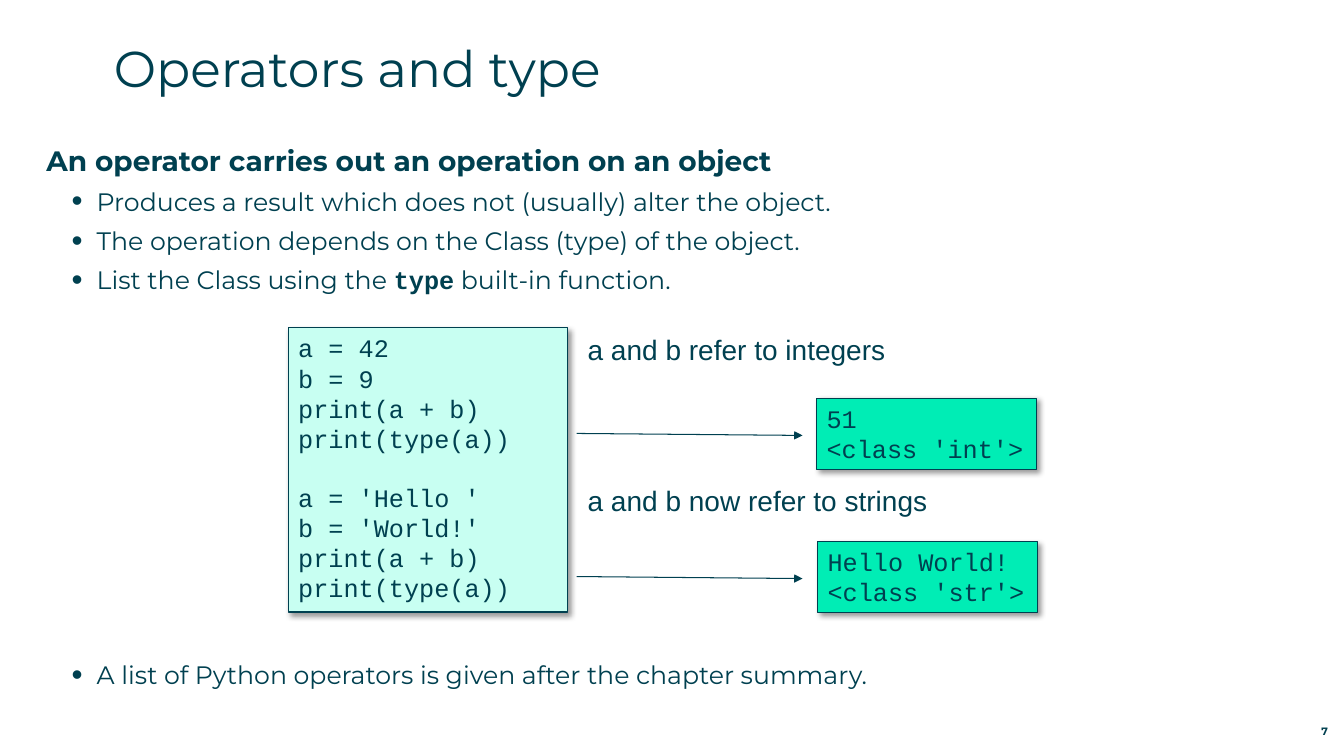
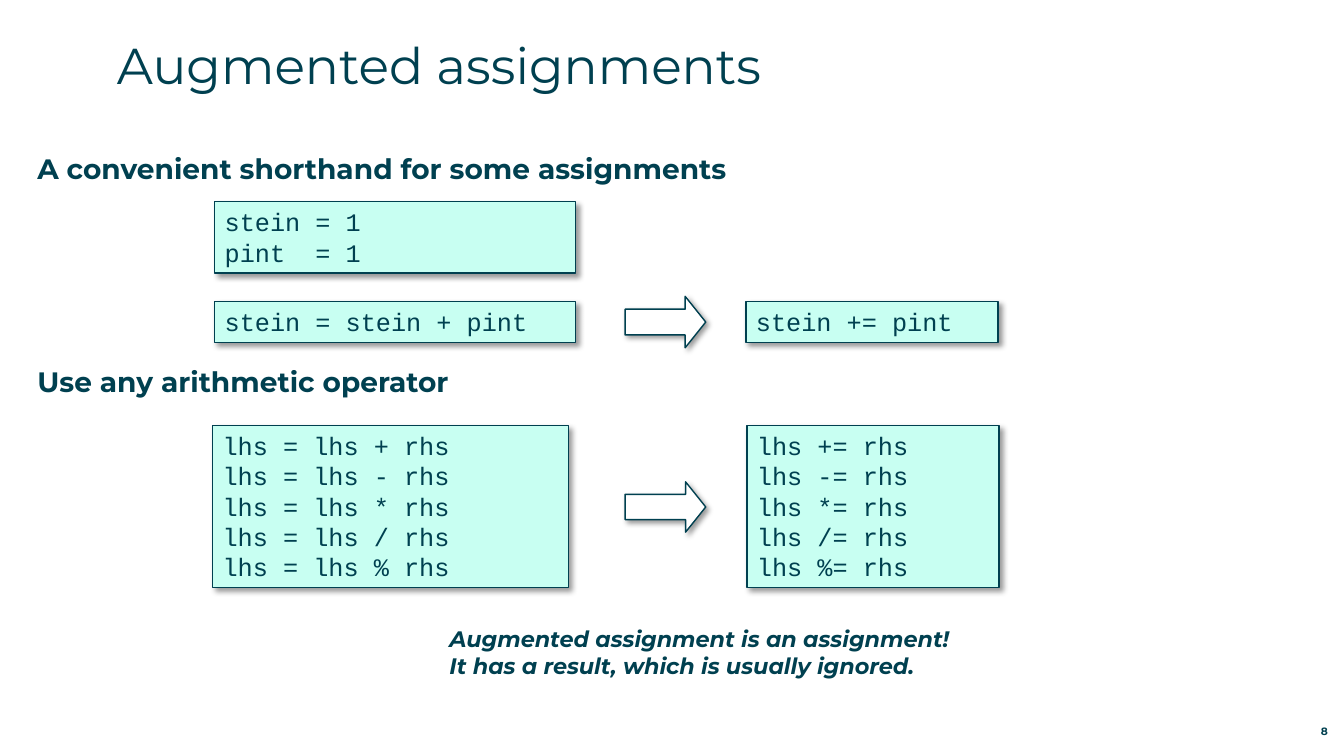
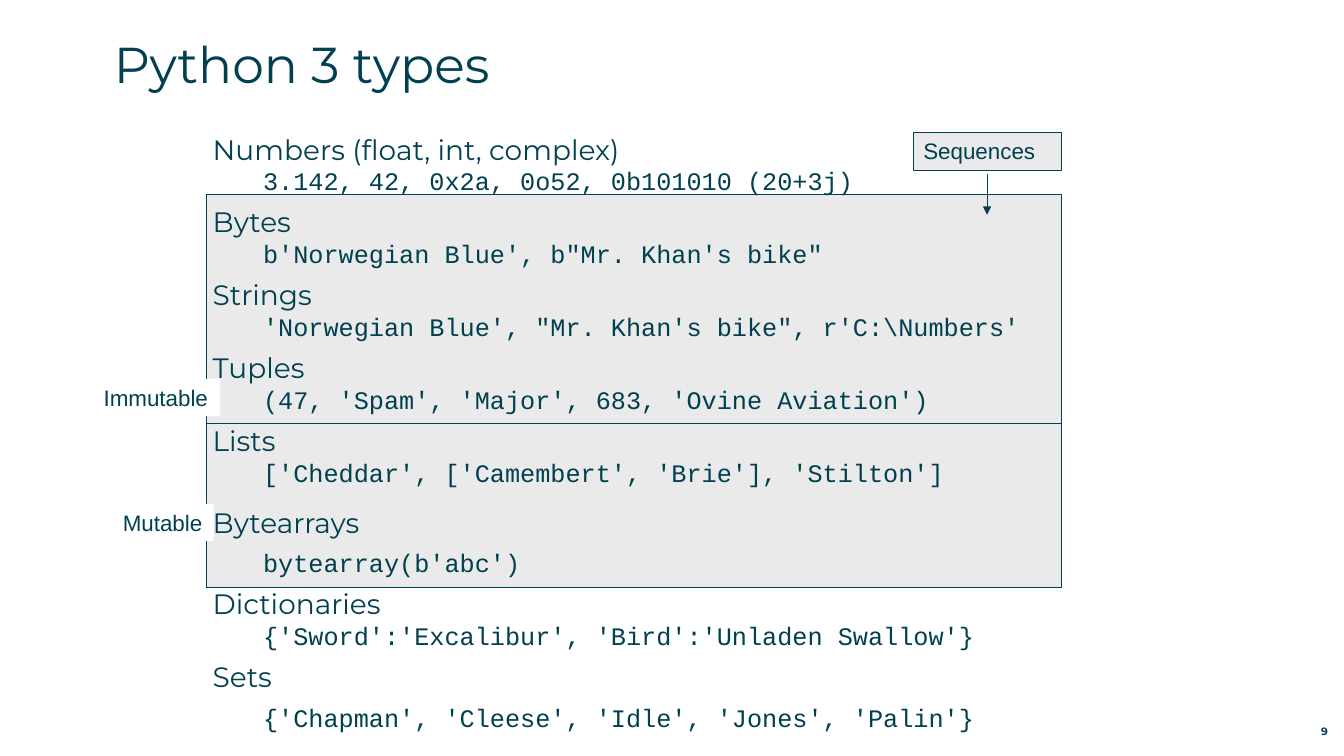
from dataclasses import dataclass, field
from lxml.etree import SubElement as Sub
from pptx import Presentation
from pptx.dml.color import RGBColor as RGB
from pptx.enum.shapes import MSO_CONNECTOR as Conn, MSO_SHAPE as Form
from pptx.enum.text import MSO_ANCHOR as Anchor, MSO_AUTO_SIZE as Fit, PP_ALIGN as Align
from pptx.oxml.ns import qn
from pptx.util import Pt


@dataclass
class Theme:
    ink: RGB = RGB(0x00, 0x40, 0x50)
    mint: RGB = RGB(0xC8, 0xFF, 0xF2)
    green: RGB = RGB(0x00, 0xED, 0xB5)
    grey: RGB = RGB(0xEA, 0xEA, 0xEA)
    white: RGB = RGB(0xFF, 0xFF, 0xFF)
    gap: float = 6.5
    type: dict = field(default_factory=lambda: {
        "title": ("Montserrat", 36, False, False),
        "head": ("Montserrat", 20, True, False),
        "topic": ("Montserrat", 20, False, False),
        "body": ("Montserrat", 18, False, False),
        "note": ("Montserrat", 16, True, True),
        "page": ("Montserrat", 7.6, True, False),
        "code": ("Courier New", 18, False, False),
        "key": ("Courier New", 18, True, False),
        "say": ("Arial", 20, False, False),
        "tag": ("Arial", 16, False, False),
    })


theme = Theme()
PX = 9144


def box(slide, spot, rows=(), fill=None, edge=0, shade=False, form=Form.RECTANGLE, pad=True):
    place = [n * PX for n in spot]
    if form is None:
        shape = slide.shapes.title
        shape.left, shape.top, shape.width, shape.height = place
    elif fill is None:
        shape = slide.shapes.add_textbox(*place)
    else:
        shape = slide.shapes.add_shape(form, *place)
        shape.shadow.inherit = False
        shape.fill.solid()
        shape.fill.fore_color.rgb = fill
        if edge:
            shape.line.color.rgb = theme.ink
            shape.line.width = Pt(edge)
        else:
            shape.line.fill.background()
    if shade:
        glow = Sub(shape._element.spPr.find(qn("a:effectLst")), qn("a:outerShdw"),
                   blurRad=str(Pt(4)), dist=str(Pt(3)), dir="2700000", algn="tl", rotWithShape="0")
        tone = Sub(glow, qn("a:srgbClr"), val="000000")
        Sub(tone, qn("a:alpha"), val="40000")
    frame = shape.text_frame
    frame.word_wrap = True
    frame.auto_size = Fit.NONE
    frame.vertical_anchor = Anchor.TOP
    if not pad:
        frame.margin_left = frame.margin_right = frame.margin_top = frame.margin_bottom = 0
    for i, row in enumerate(rows):
        para = frame.paragraphs[0] if i == 0 else frame.add_paragraph()
        para.alignment = Align.LEFT
        for text, kind in row:
            run = para.add_run()
            run.text = text
            font = run.font
            font.name, size, font.bold, font.italic = theme.type[kind]
            font.size = Pt(size)
            font.color.rgb = theme.ink
    return shape


def link(slide, start, end, head=True):
    line = slide.shapes.add_connector(Conn.STRAIGHT, *[n * PX for n in start + end])
    line.line.color.rgb = theme.ink
    line.line.width = Pt(0.75)
    if head:
        Sub(line.line._get_or_add_ln(), qn("a:tailEnd"), type="triangle")
    Sub(line._element.spPr, qn("a:effectLst"))


deck = Presentation()
deck.slide_width, deck.slide_height = 1333 * PX, 750 * PX
pages = []
for num, title, left, top in [
    (7, "Operators and type", 113, 37),
    (8, "Augmented assignments", 116, 34),
    (9, "Python 3 types", 113, 33),
]:
    page = deck.slides.add_slide(deck.slide_layouts[5])
    box(page, (left, top, 1260, 88), [[(title, "title")]], form=None, pad=False)
    foot = box(page, (1231, 712, 86, 20), [[(str(num), "page")]], pad=False).text_frame
    foot.vertical_anchor = Anchor.BOTTOM
    foot.paragraphs[0].alignment = Align.RIGHT
    pages.append(page)
ops, aug, types = pages

intro = box(ops, (46, 142, 1190, 165), [
    [("An operator carries out an operation on an object", "head")],
    [("Produces a result which does not (usually) alter the object.", "body")],
    [("The operation depends on the Class (type) of the object.", "body")],
    [("List the Class using the ", "body"), ("type", "key"), (" built-in function.", "body")],
], pad=False)
last = box(ops, (46, 654, 1190, 40), [
    [("A list of Python operators is given after the chapter summary.", "body")],
], pad=False)
for para in intro.text_frame.paragraphs:
    para.space_after = Pt(theme.gap)
for para in intro.text_frame.paragraphs[1:] + last.text_frame.paragraphs:
    props = para._p.get_or_add_pPr()
    props.set("marL", str(50 * PX))
    props.set("indent", str(-25 * PX))
    Sub(props, qn("a:buSzPct"), val="125000")
    Sub(props, qn("a:buFont"), typeface="Arial")
    Sub(props, qn("a:buChar"), char="•")

code = ["a = 42", "b = 9", "print(a + b)", "print(type(a))",
        "a = 'Hello '", "b = 'World!'", "print(a + b)", "print(type(a))"]
demo = box(ops, (286, 325, 277, 282), [[(row, "code")] for row in code], theme.mint, 1, True)
demo.text_frame.paragraphs[4].space_before = Pt(20.4)
for say, top, left, out, y in [
    ("a and b refer to integers", 325, 810, ["51", "<class 'int'>"], 395),
    ("a and b now refer to strings", 475, 811, ["Hello World!", "<class 'str'>"], 537),
]:
    box(ops, (573, top, 378, 44), [[(say, "say")]])
    box(ops, (left, y, 218, 71), [[(row, "code")] for row in out], theme.green, 0.75, True)
    link(ops, (572, y + 35), (796, y + 37))

for text, top in [("A convenient shorthand for some assignments", 150),
                  ("Use any arithmetic operator", 362)]:
    box(aug, (37, top, 1259, 40), [[(text, "head")]], pad=False)
signs = "+-*/%"
for spot, rows in [
    ((213, 200, 358, 71), ["stein = 1", "pint  = 1"]),
    ((213, 299, 358, 41), ["stein = stein + pint"]),
    ((740, 299, 250, 41), ["stein += pint"]),
    ((211, 422, 353, 161), [f"lhs = lhs {sign} rhs" for sign in signs]),
    ((741, 422, 250, 161), [f"lhs {sign}= rhs" for sign in signs]),
]:
    box(aug, spot, [[(row, "code")] for row in rows], theme.mint, 1, True)
for top, high in [(294, 51), (478, 50)]:
    arrow = box(aug, (620, top, 80, high), (), theme.white, 1, True, Form.RIGHT_ARROW)
    arrow.adjustments[0], arrow.adjustments[1] = 0.5, 0.4
box(aug, (436, 615, 530, 64), [
    [("Augmented assignment is an assignment!", "note")],
    [("It has a result, which is usually ignored.", "note")],
])

box(types, (205, 193, 848, 390), (), theme.grey, 0.75)
box(types, (906, 131, 147, 38), [[("Sequences", "tag")]], theme.grey, 0.75)
link(types, (979, 173), (979, 213))
kinds = [
    ("Numbers (float, int, complex)", "3.142, 42, 0x2a, 0o52, 0b101010 (20+3j)"),
    ("Bytes", "b'Norwegian Blue', b\"Mr. Khan's bike\""),
    ("Strings", "'Norwegian Blue', \"Mr. Khan's bike\", r'C:\\Numbers'"),
    ("Tuples", "(47, 'Spam', 'Major', 683, 'Ovine Aviation')"),
    ("Lists", "['Cheddar', ['Camembert', 'Brie'], 'Stilton']"),
    ("Bytearrays", "bytearray(b'abc')"),
    ("Dictionaries", "{'Sword':'Excalibur', 'Bird':'Unladen Swallow'}"),
    ("Sets", "{'Chapman', 'Cleese', 'Idle', 'Jones', 'Palin'}"),
]
rows = [[pair] for name, code in kinds for pair in ((name, "topic"), (code, "code"))]
paras = box(types, (211, 131, 936, 619), rows, pad=False).text_frame.paragraphs
for para in paras[1::2]:
    para.space_after = Pt(theme.gap)
    para._p.get_or_add_pPr().set("marL", str(50 * PX))
paras[10].space_before = Pt(6.5)
paras[11].space_before = Pt(5.5)
paras[14].space_after = Pt(theme.gap)
link(types, (205, 420), (1053, 420), False)
for text, spot in [("Immutable", (93, 376, 125, 37)), ("Mutable", (112, 500, 100, 37))]:
    box(types, spot, [[(text, "tag")]], theme.white)

deck.save("out.pptx")
